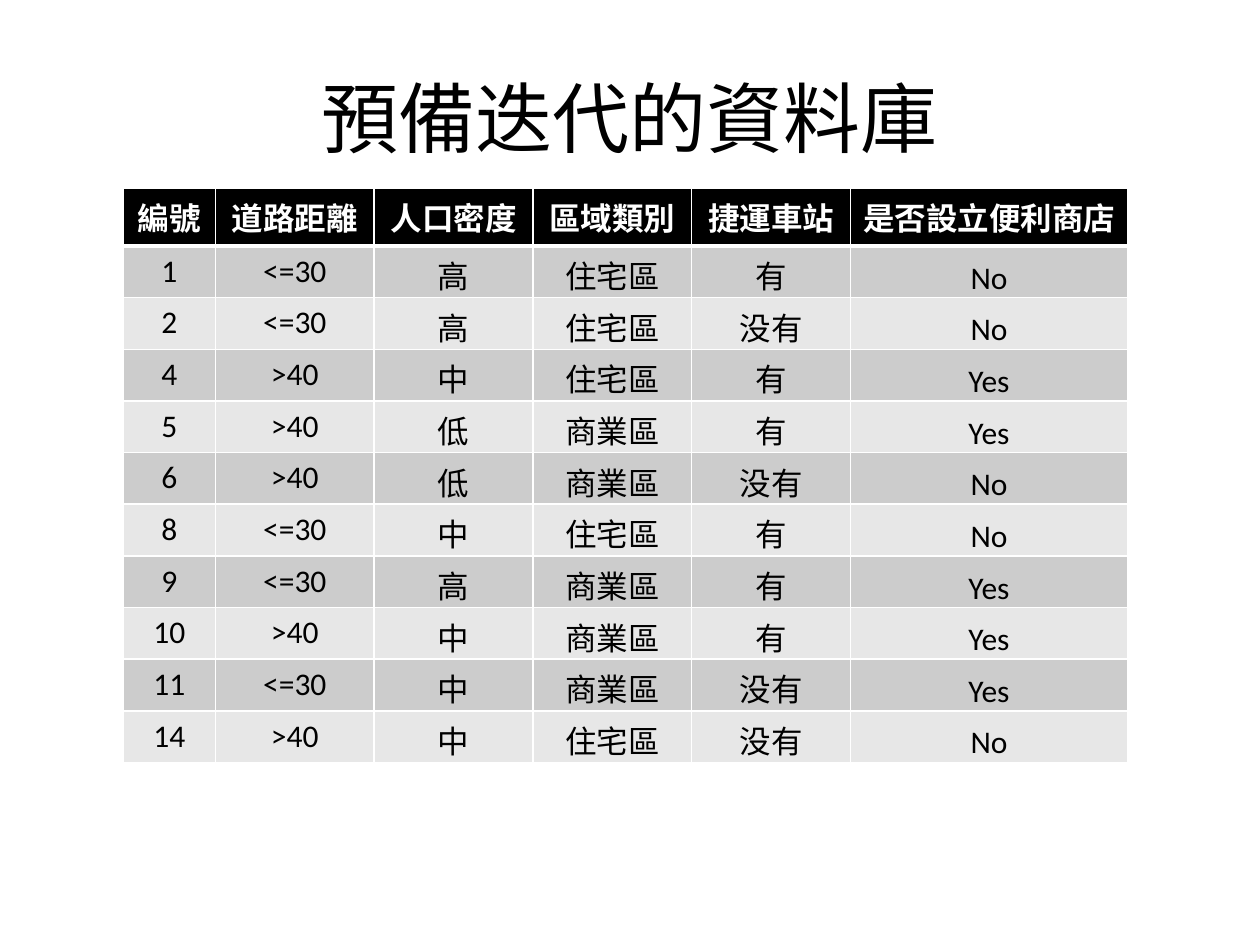
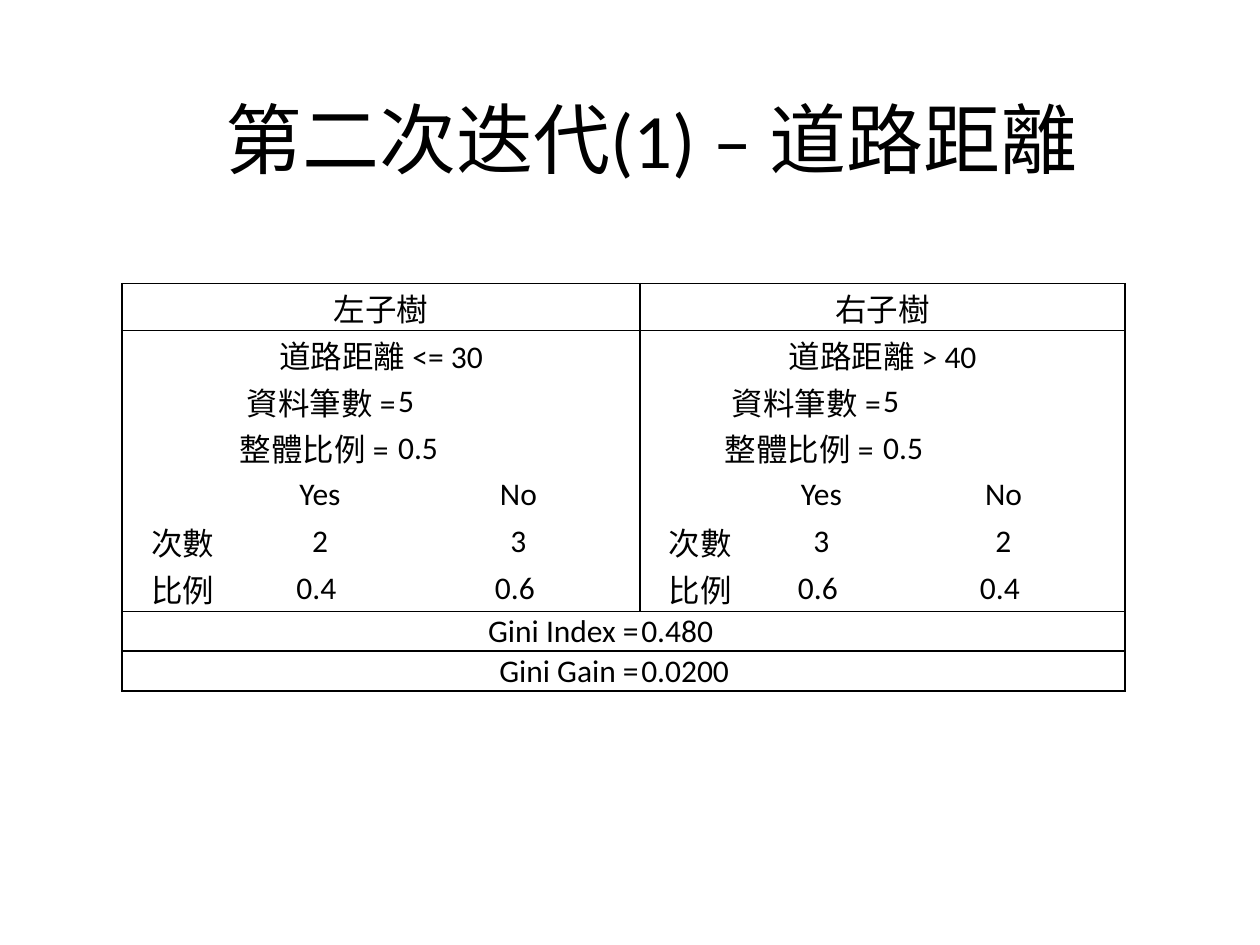
from dataclasses import dataclass

from lxml import etree
from pptx import Presentation
from pptx.dml.color import RGBColor
from pptx.enum.text import MSO_ANCHOR, PP_ALIGN
from pptx.oxml.ns import qn
from pptx.util import Inches, Pt

TOP, MID, LOW = MSO_ANCHOR.TOP, MSO_ANCHOR.MIDDLE, MSO_ANCHOR.BOTTOM
LEFT, MIDST, RIGHT = PP_ALIGN.LEFT, PP_ALIGN.CENTER, PP_ALIGN.RIGHT


@dataclass(frozen=True)
class Theme:
    ink: str = "000000"
    paper: str = "FFFFFF"
    bands: tuple = ("CCCCCC", "E7E7E7")
    font: str = "Calibri"
    cjk: str = "Noto Sans CJK SC"
    head: int = 44
    body: int = 18


LOOK = Theme()

# Cell insets: roomy for plain cells, tight for narrow ones
ROOMY = dict(margin_left=Inches(0.08), margin_right=Inches(0.08),
             margin_top=Inches(0.05), margin_bottom=Inches(0.05))
TIGHT = dict(margin_left=Inches(0.01), margin_right=Inches(0.01),
             margin_top=Inches(0.01), margin_bottom=0)

SHOPS = [
    ("編號", "道路距離", "人口密度", "區域類別", "捷運車站", "是否設立便利商店"),
    ("1", "<=30", "高", "住宅區", "有", "No"),
    ("2", "<=30", "高", "住宅區", "没有", "No"),
    ("4", ">40", "中", "住宅區", "有", "Yes"),
    ("5", ">40", "低", "商業區", "有", "Yes"),
    ("6", ">40", "低", "商業區", "没有", "No"),
    ("8", "<=30", "中", "住宅區", "有", "No"),
    ("9", "<=30", "高", "商業區", "有", "Yes"),
    ("10", ">40", "中", "商業區", "有", "Yes"),
    ("11", "<=30", "中", "商業區", "没有", "Yes"),
    ("14", ">40", "中", "住宅區", "没有", "No"),
]

# Each half row is a list of (text, columns covered, alignment)


def branch(rule, name, count, share, tally, rates):
    """Return the rows of one subtree."""
    return [
        [(name, 3, MIDST)],
        [(rule, 3, MIDST)],
        [("資料筆數 =", 2, RIGHT), (count, 1, LEFT)],
        [("整體比例 = ", 2, RIGHT), (share, 1, LEFT)],
        *[[(text, 1, MIDST) for text in row]
          for row in (("", "Yes", "No"), ("次數", *tally), ("比例", *rates))],
    ]


HALVES = (
    branch("道路距離 <= 30", "左子樹", "5", "0.5", ("2", "3"), ("0.4 ", "0.6 ")),
    branch("道路距離 > 40", "右子樹", "5", "0.5", ("3", "2"), ("0.6 ", "0.4 ")),
)
SCORES = (("Gini Index =", "0.480"), ("Gini Gain =", "0.0200"))
SPLIT = [a + b for a, b in zip(*HALVES)] + [
    [(label, 3, RIGHT), (score, 3, LEFT)] for label, score in SCORES]


def apply(item, style):
    for key, value in style.items():
        setattr(item, key, value)


def write(frame, text, align, size, color, font=LOOK.font, bold=False):
    para = frame.paragraphs[0]
    para.alignment = align
    if text:
        run = para.add_run()
        run.text = text
        apply(run.font, dict(name=font, size=Pt(size), bold=bold))
        run.font.color.rgb = RGBColor.from_string(color)


def edge(cell, color, **sides):
    """Draw the sides L, R, T, B with a width in points; 0 hides one."""
    props = cell._tc.get_or_add_tcPr()
    for spot, side in enumerate("LRTB"):
        width = sides[side]
        line = etree.Element(qn("a:ln" + side), w=str(Pt(width)))
        if width:
            fill = etree.SubElement(line, qn("a:solidFill"))
            etree.SubElement(fill, qn("a:srgbClr"), val=color)
        else:
            etree.SubElement(line, qn("a:noFill"))
        props.insert(spot, line)


def start(deck, text, box, font=LOOK.font):
    """Add a slide with its title in the given box."""
    slide = deck.slides.add_slide(deck.slide_layouts[5])
    title = slide.shapes.title
    apply(title, dict(zip(("left", "top", "width", "height"), map(Inches, box))))
    title.text_frame.vertical_anchor = MID
    write(title.text_frame, text, MIDST, LOOK.head, LOOK.ink, font)
    return slide


def grid(slide, left, top, cols, rows):
    """Add a bare table with the given column widths and row heights."""
    box = map(Inches, (left, top, sum(cols), sum(rows)))
    table = slide.shapes.add_table(len(rows), len(cols), *box).table
    apply(table, dict(first_row=False, horz_banding=False))
    for col, width in zip(table.columns, cols):
        col.width = Inches(width)
    for row, height in zip(table.rows, rows):
        row.height = Inches(height)
    return table


def records(slide, left, top):
    """Banded table of the shop records."""
    cols = [0.73] + [1.26] * 4 + [2.2]
    table = grid(slide, left, top, cols, [0.41] * len(SHOPS))
    for r, row in enumerate(SHOPS):
        head = r == 0
        back = LOOK.ink if head else LOOK.bands[(r - 1) % 2]
        for c, text in enumerate(row):
            cell = table.cell(r, c)
            low = not head and c > 1
            apply(cell, TIGHT if low else ROOMY)
            cell.vertical_anchor = LOW if low else TOP
            edge(cell, LOOK.paper, L=1, R=1, T=3 if r == 1 else 1, B=3 if head else 1)
            cell.fill.solid()
            cell.fill.fore_color.rgb = RGBColor.from_string(back)
            write(cell.text_frame, text, MIDST, LOOK.body,
                  LOOK.paper if head else LOOK.ink, bold=head)


def subtrees(slide, left, top):
    """Two subtrees side by side, with the scores below."""
    rows = [0.31] + [0.29] * 3 + [0.37] + [0.29] + [0.31] * 3
    table = grid(slide, left, top, [0.96, 1.22, 1.93, 0.96, 0.96, 1.93], rows)
    rules = (0, 1, 7, 8, 9)
    for r, row in enumerate(SPLIT):
        walls = (0, 3, 6) if r < 7 else (0, 6)
        c = 0
        for text, span, align in row:
            for k in range(c, c + span):
                cell = table.cell(r, k)
                stop = c + span if k == c else k + 1
                edge(cell, LOOK.ink, L=int(k in walls), R=int(stop in walls),
                     T=int(r in rules), B=int(r + 1 in rules))
                cell.fill.background()
                apply(cell, TIGHT)
                cell.vertical_anchor = MID
            cell = table.cell(r, c)
            write(cell.text_frame, text, align, LOOK.body, LOOK.ink)
            if span > 1:
                cell.merge(table.cell(r, c + span - 1))
            c += span


def main():
    deck = Presentation()
    apply(deck, dict(slide_width=Inches(10), slide_height=Inches(7.5)))

    # Records left for the next round
    slide = start(deck, "預備迭代的資料庫", (0.5, 0.3, 9, 1.25), LOOK.cjk)
    records(slide, 0.98, 1.49)

    # Split on road distance
    slide = start(deck, "第二次迭代(1) – 道路距離", (0.67, 0.47, 9, 1.25))
    subtrees(slide, 0.97, 2.25)

    deck.save("out.pptx")


if __name__ == "__main__":
    main()
